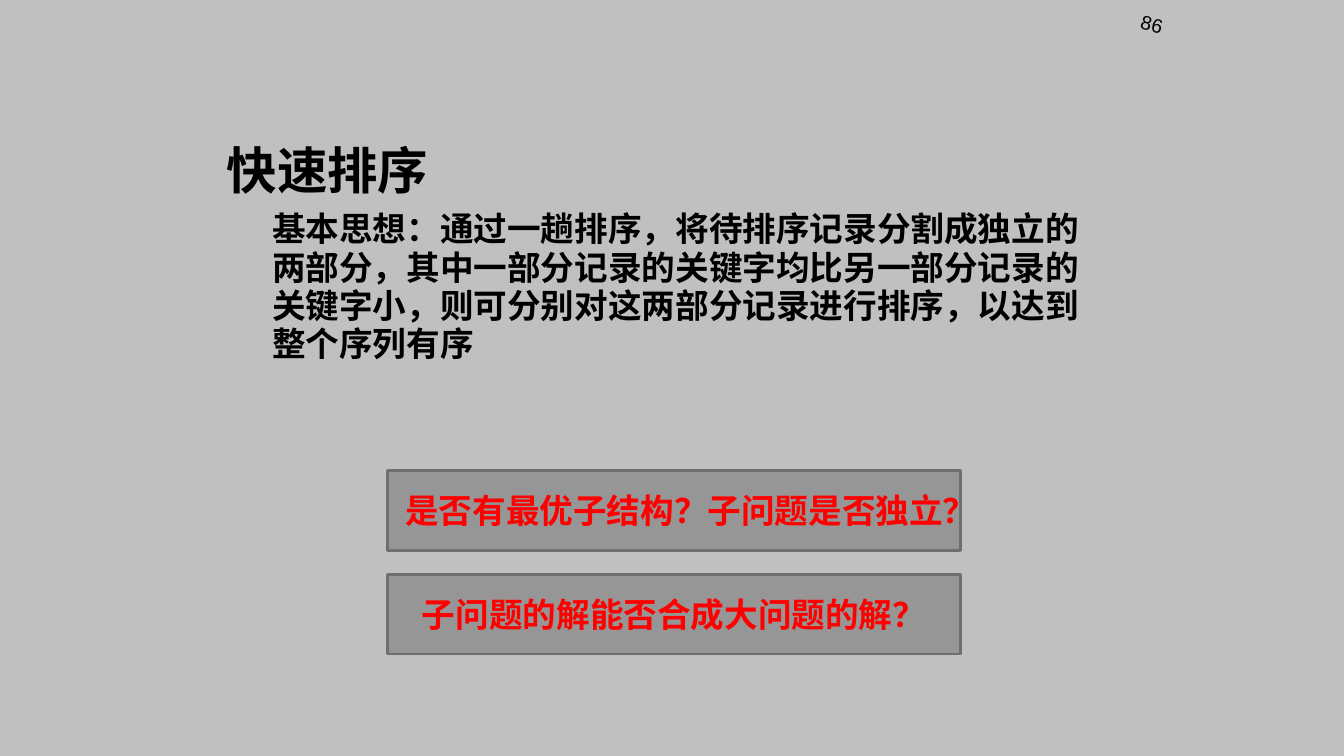
from pptx import Presentation
from pptx.dml.color import RGBColor
from pptx.enum.shapes import MSO_SHAPE
from pptx.enum.text import MSO_ANCHOR, PP_ALIGN
from pptx.oxml.ns import qn
from pptx.util import Inches, Pt

RECTANGLE = MSO_SHAPE.RECTANGLE
MIDDLE = MSO_ANCHOR.MIDDLE
LEFT, CENTER, RIGHT = PP_ALIGN.LEFT, PP_ALIGN.CENTER, PP_ALIGN.RIGHT
SLIDE_WIDTH, SLIDE_HEIGHT = Inches(13.33), Inches(7.5)
BLANK_LAYOUT = 6


def colour(hex_text):
    return RGBColor.from_string(hex_text)


class SlideBuilder:
    columns = rows = 100
    background, ink, question_ink = "C0C0C0", "010000", "FF0000"
    panel_fill, panel_line = "969696", "6F6F6F"
    heading_font, number_font = "Lato", "Arial"

    def __init__(self, presentation):
        layout = presentation.slide_layouts[BLANK_LAYOUT]
        self.slide = presentation.slides.add_slide(layout)
        fill = self.slide.background.fill
        fill.solid()
        fill.fore_color.rgb = colour(self.background)

    def place(self, left, top, width, height):
        column, row = SLIDE_WIDTH / self.columns, SLIDE_HEIGHT / self.rows
        return [round(length) for length in
                (left * column, top * row, width * column, height * row)]

    def add_words(self, paragraph, words, size, ink, font, bold=True, align=LEFT):
        paragraph.alignment = align
        run = paragraph.add_run()
        run.text = words
        run.font.size = Pt(size)
        run.font.bold = bold
        run.font.name = font
        run.font.color.rgb = colour(ink)
        properties = run._r.get_or_add_rPr()
        east_asian = properties.makeelement(qn("a:ea"), {"typeface": font})
        properties.find(qn("a:latin")).addnext(east_asian)

    def text_frame(self, area, rotation=0):
        box = self.slide.shapes.add_textbox(*self.place(*area))
        box.rotation = rotation
        box.text_frame.word_wrap = True
        return box.text_frame

    def topic(self, area, title, idea):
        frame = self.text_frame(area)
        heading = frame.paragraphs[0]
        heading._p.get_or_add_pPr().set("marL", str(Inches(0.4)))
        self.add_words(heading, title, 36, self.ink, self.heading_font)
        explanation = frame.add_paragraph()
        explanation._p.get_or_add_pPr().set("marL", str(Inches(0.85)))
        explanation.line_spacing = 0.95
        explanation.space_before = Pt(8.4)
        self.add_words(explanation, idea, 24, self.ink, self.heading_font)

    def page_number(self, area, number):
        frame = self.text_frame(area, rotation=15)
        self.add_words(frame.paragraphs[0], number, 14, self.ink,
                       self.number_font, bold=False, align=RIGHT)

    def question(self, area, words):
        panel = self.slide.shapes.add_shape(RECTANGLE, *self.place(*area))
        panel.shadow.inherit = False
        panel.fill.solid()
        panel.fill.fore_color.rgb = colour(self.panel_fill)
        panel.line.color.rgb = colour(self.panel_line)
        panel.line.width = Pt(2)
        frame = panel.text_frame
        frame.word_wrap = True
        frame.vertical_anchor = MIDDLE
        self.add_words(frame.paragraphs[0], words, 24, self.question_ink,
                       self.heading_font, align=CENTER)


def main():
    presentation = Presentation()
    presentation.slide_width = SLIDE_WIDTH
    presentation.slide_height = SLIDE_HEIGHT
    builder = SlideBuilder(presentation)
    builder.topic(
        (13.13, 17.73, 69.77, 86.53),
        "快速排序",
        "基本思想：通过一趟排序，将待排序记录分割成独立的两部分，"
        "其中一部分记录的关键字均比另一部分记录的关键字小，"
        "则可分别对这两部分记录进行排序，以达到整个序列有序",
    )
    builder.page_number((68.72, -2.67, 18.75, 5.33), "86")
    questions = ("是否有最优子结构？子问题是否独立？", "子问题的解能否合成大问题的解？")
    first_top, pitch = 62.27, 13.73
    for order, words in enumerate(questions):
        builder.question((28.81, first_top + order * pitch, 42.69, 10.53), words)
    presentation.save("out.pptx")


if __name__ == "__main__":
    main()
